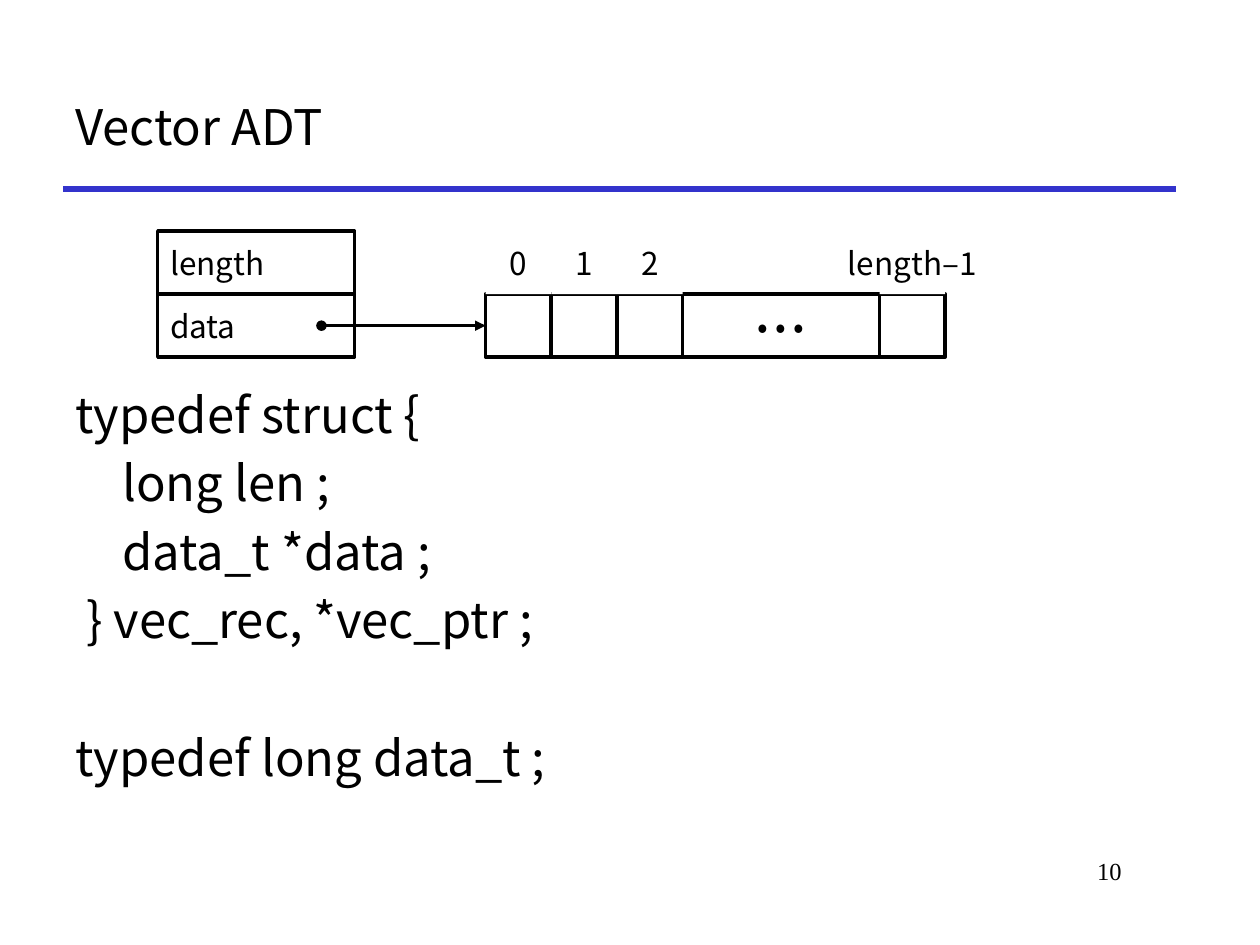
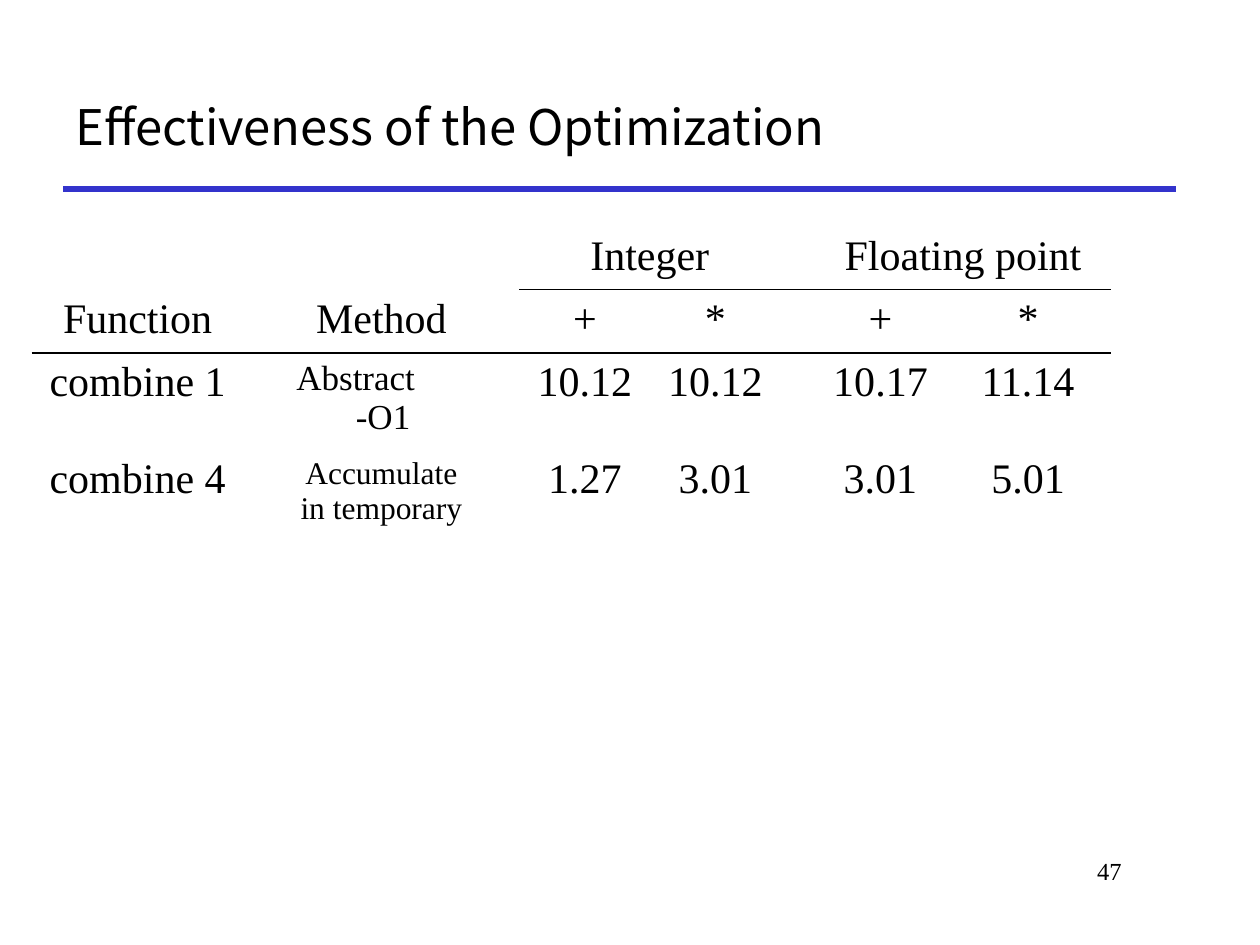
from dataclasses import dataclass

from lxml.etree import SubElement
from pptx import Presentation
from pptx.dml.color import RGBColor as RGB
from pptx.enum.shapes import MSO_CONNECTOR as Conn, MSO_SHAPE as Shape
from pptx.enum.text import MSO_ANCHOR as Anchor, PP_ALIGN as Align
from pptx.oxml.ns import qn
from pptx.util import Cm, Pt


@dataclass(frozen=True)
class Theme:
    ink: RGB = RGB(0, 0, 0)
    paper: RGB = RGB(255, 255, 255)
    rule: RGB = RGB(0x33, 0x33, 0xCC)
    sans: str = "Noto Sans CJK KR"
    serif: str = "Times New Roman"
    title: int = 28
    code: int = 28
    cell: int = 24
    label: int = 18
    foot: int = 14
    plain: str = "{2D5ABB26-0587-4C30-8999-92F81FD0307C}"  # no style, no grid


class Deck:
    def __init__(self, theme):
        self.theme = theme
        self.prs = Presentation()
        self.prs.slide_width, self.prs.slide_height = Cm(25.4), Cm(19.05)

    def page(self, title, number):
        """Start a slide with its title, rule and page number."""
        t = self.theme
        self.slide = self.prs.slides.add_slide(self.prs.slide_layouts[6])
        self.line(1.27, 23.7, 3.81, t.rule, 3)
        self.text(19.25, 17.14, 3.61, 1.27, [str(number)], t.foot, t.serif, Align.RIGHT)
        self.text(1.27, 1.27, 22.43, 2.54, [title], t.title, t.sans, anchor=Anchor.MIDDLE)

    def font(self, para, size, face, align=Align.LEFT):
        para.alignment = align
        para.font.size, para.font.name = Pt(size), face
        para.font.color.rgb = self.theme.ink

    def text(self, x, y, w, h, lines, size, face, align=Align.LEFT, anchor=Anchor.TOP):
        box = self.slide.shapes.add_textbox(Cm(x), Cm(y), Cm(w), Cm(h))
        frame = box.text_frame
        frame.word_wrap, frame.vertical_anchor = True, anchor
        frame.text = "\n".join(lines)
        for para in frame.paragraphs:
            self.font(para, size, face, align)
        return frame

    def code(self, x, y, w, h, blocks):
        """Code lines with a tab stop; a wide gap parts the blocks."""
        t = self.theme
        lines = [line for block in blocks for line in block]
        heads = [block[0] for block in blocks]
        frame = self.text(x, y, w, h, lines, t.code, t.sans)
        pitch, gap = 1.2 * t.code, 0.2 * t.code
        for i, para in enumerate(frame.paragraphs):
            props = para._p.get_or_add_pPr()
            props.set("marL", str(Cm(0.95)))
            props.set("indent", str(-Cm(0.95)))
            para.line_spacing = Pt(pitch)
            if i:
                para.space_before = Pt(pitch + 2 * gap if lines[i] in heads else gap)

    def box(self, x, y, w, h, label="", align=Align.CENTER, border=True):
        t = self.theme
        rect = self.slide.shapes.add_shape(Shape.RECTANGLE, Cm(x), Cm(y), Cm(w), Cm(h))
        rect.shadow.inherit = False
        rect.fill.solid()
        rect.fill.fore_color.rgb = t.paper
        if border:
            rect.line.color.rgb, rect.line.width = t.ink, Pt(2)
        else:
            rect.line.fill.background()
        if label:
            frame = rect.text_frame
            frame.word_wrap, frame.vertical_anchor = False, Anchor.MIDDLE
            frame.text = label
            self.font(frame.paragraphs[0], t.label, t.sans, align)
        return rect

    def line(self, left, right, y, color, width):
        line = self.slide.shapes.add_connector(
            Conn.STRAIGHT, Cm(left), Cm(y), Cm(right), Cm(y))
        line.line.color.rgb, line.line.width = color, Pt(width)
        SubElement(line._element.spPr, qn("a:effectLst"))
        return line

    def arrow(self, left, y, target):
        """Dot-tailed arrow to the left side of a box."""
        line = self.line(left, left + 1, y, self.theme.ink, 2)
        line.end_connect(target, 1)
        pen = line.line._get_or_add_ln()
        SubElement(pen, qn("a:headEnd"), type="oval")
        SubElement(pen, qn("a:tailEnd"), type="triangle")

    def table(self, x, y, cols, rows, data):
        shape = self.slide.shapes.add_table(
            len(rows), len(cols), Cm(x), Cm(y), Cm(sum(cols)), Cm(sum(rows)))
        grid = shape.table
        grid.first_row = grid.horz_banding = False
        grid._tbl.tblPr.find(qn("a:tableStyleId")).text = self.theme.plain
        for col, w in zip(grid.columns, cols):
            col.width = Cm(w)
        for row, h, values in zip(grid.rows, rows, data):
            row.height = Cm(h)
            for cell, value in zip(row.cells, values):
                if value:
                    self.cell(cell, value)
        return grid

    def cell(self, cell, value, size=None, align=Align.CENTER):
        cell.text = value
        for para in cell.text_frame.paragraphs:
            self.font(para, size or self.theme.cell, self.theme.serif, align)

    def under(self, cell):
        """Thin rule below a cell."""
        edge = SubElement(cell._tc.get_or_add_tcPr(), qn("a:lnB"), w=str(Pt(1)))
        fill = SubElement(edge, qn("a:solidFill"))
        SubElement(fill, qn("a:srgbClr"), val=str(self.theme.ink))


def vector(deck):
    deck.page("Vector ADT", 10)
    deck.code(1.27, 7.62, 23.06, 9.09, [
        ["typedef struct {", "\tlong len ;", "\tdata_t *data ;", " } vec_rec, *vec_ptr ;"],
        ["typedef long data_t ;"],
    ])

    # Record with its two fields
    top, high, wide = 4.66, 1.27, 3.97
    low = top + high
    for y, name in ((top, "length"), (low, "data")):
        deck.box(3.18, y, wide, high, name, Align.LEFT)

    # Array: three cells, the gap, the last cell
    left, unit = 9.79, wide / 3
    spots = [left + i * unit for i in (0, 1, 2, 6)]
    cells = [deck.box(x, low, unit, high) for x in spots]
    deck.box(left + wide, low, wide, high, "• • •")
    deck.arrow(6.48, low + high / 2, cells[0])

    # Index labels
    for x, index in zip(spots, ("0", "1", "2", "length–1")):
        deck.box(x, top, unit, high, index, border=False)


def results(deck):
    deck.page("Effectiveness of the Optimization", 47)
    gap = 0.71
    cols = [4.27, gap, 4.14, gap, 2.64, 2.62, gap, 2.62, 3.33]
    grid = deck.table(0.64, 4.57, cols, [1.27, 1.27, 1.96, 1.78], [
        ["", "", "", "", "Integer", "", "", "Floating point", ""],
        ["Function", "", "Method", "", "+", "*", "", "+", "*"],
        ["combine 1", "", "", "", "10.12", "10.12", "", "10.17", "11.14"],
        ["combine 4", "", "", "", "1.27", "3.01", "", "3.01", "5.01"],
    ])

    # Methods in smaller type, the first one stepped
    step = grid.cell(2, 2)
    deck.cell(step, "Abstract\n-O1", 20, Align.LEFT)
    for para, indent in zip(step.text_frame.paragraphs, (0.1, 1.3)):
        para._p.get_or_add_pPr().set("marL", str(Cm(indent)))
    deck.cell(grid.cell(3, 2), "Accumulate in temporary", 18)

    # Spans, rules and clear fills
    for col in (4, 7):
        grid.cell(0, col).merge(grid.cell(0, col + 1))
    for row, first in ((0, 4), (1, 0)):
        for col in range(first, len(cols)):
            deck.under(grid.cell(row, col))
    for cell in grid.iter_cells():
        cell.fill.background()


def main():
    deck = Deck(Theme())
    vector(deck)
    results(deck)
    deck.prs.save("out.pptx")


if __name__ == "__main__":
    main()
